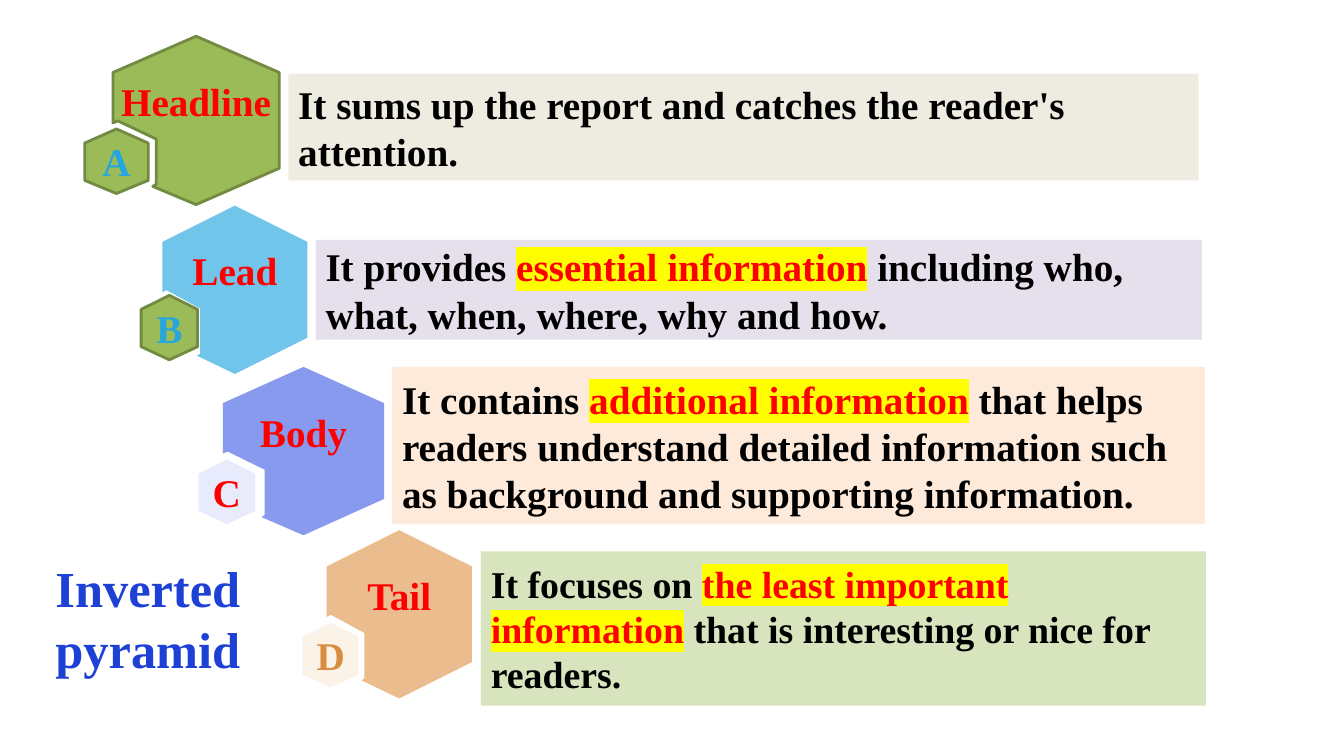
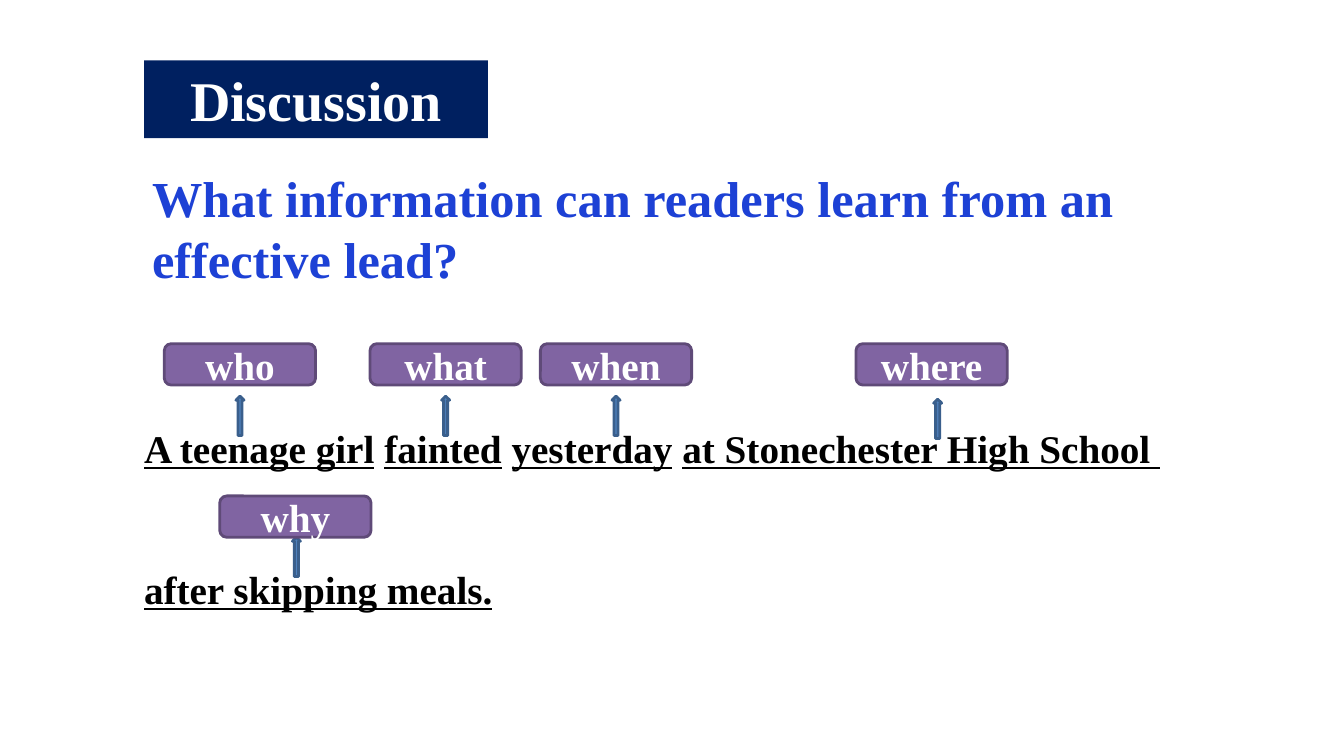
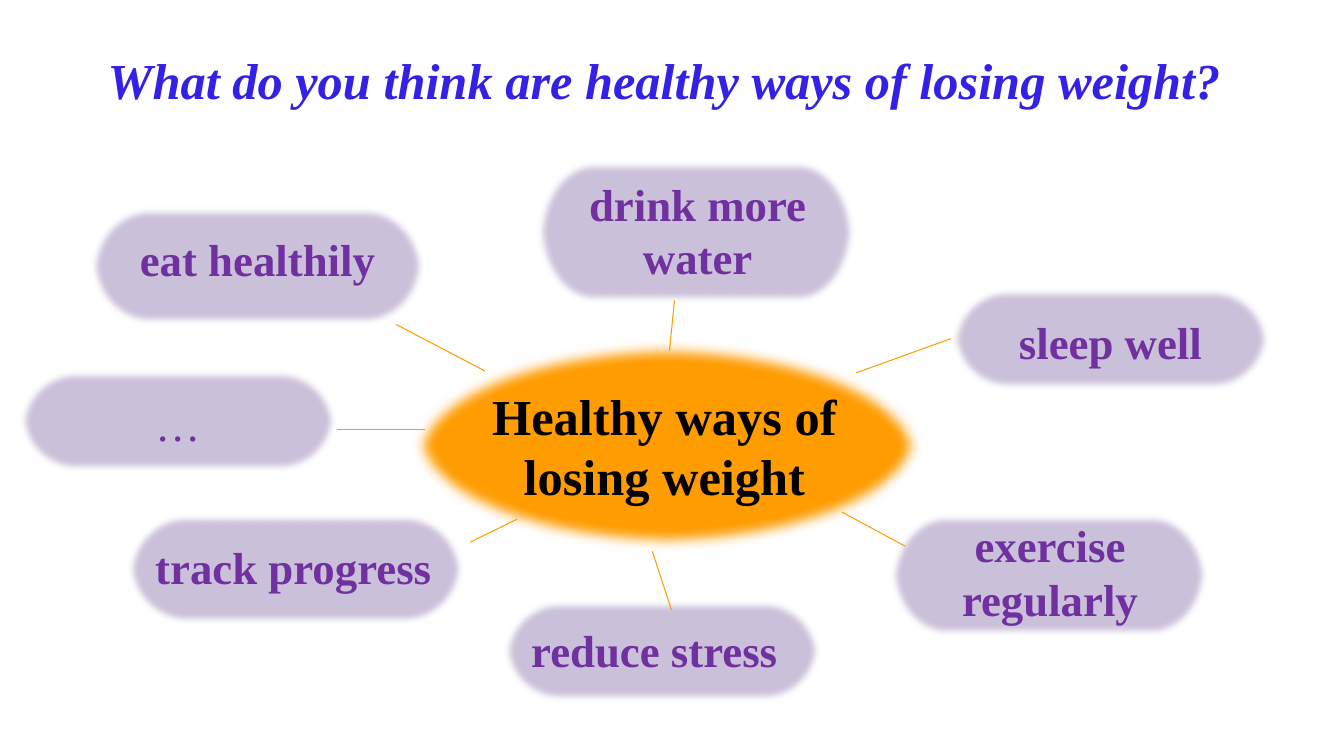
"""Three lesson slides on news reports: structure, the lead, and healthy weight loss."""
import lxml.etree
import pptx
import pptx.dml.color
import pptx.enum.shapes
import pptx.enum.text
import pptx.oxml.ns
import pptx.util
from dataclasses import dataclass

Inches = pptx.util.Inches
Pt = pptx.util.Pt
RGB = pptx.dml.color.RGBColor.from_string
SHAPE = pptx.enum.shapes.MSO_SHAPE
ALIGN = pptx.enum.text.PP_ALIGN
ANCHOR = pptx.enum.text.MSO_ANCHOR
qn = pptx.oxml.ns.qn


@dataclass(frozen=True)
class Theme:
    font: str = "Times New Roman"
    heading: int = 36
    banner: int = 40
    bubble: int = 32
    body: int = 28
    small: int = 27
    black: str = "000000"
    white: str = "FFFFFF"
    red: str = "FF0000"
    yellow: str = "FFFF00"
    blue: str = "1D41D5"
    indigo: str = "3321E5"
    navy: str = "002060"
    sky: str = "26A6DF"
    green: str = "9BBB59"
    green_edge: str = "738A42"
    ochre: str = "DB8D3F"
    purple: str = "8064A2"
    purple_edge: str = "5F4A78"
    steel: str = "4F81BD"
    steel_edge: str = "3A5F8C"
    orange: str = "FF9C00"
    lilac: str = "CCC1DA"
    violet: str = "7030A0"


T = Theme()


def write(shape, paragraphs, size, color, align=ALIGN.LEFT, anchor=ANCHOR.TOP, bold=True):
    """Fill a shape with paragraphs; a bar in the text starts a new run."""
    tf = shape.text_frame
    tf.word_wrap = True
    tf.auto_size = pptx.enum.text.MSO_AUTO_SIZE.NONE
    tf.vertical_anchor = anchor
    for i, text in enumerate(paragraphs):
        p = tf.add_paragraph() if i else tf.paragraphs[0]
        p.alignment = align
        p.font.name = T.font
        p.font.size = Pt(size)
        p.font.bold = bold
        p.font.color.rgb = RGB(color)
        for part in filter(None, text.split("|")):
            p.add_run().text = part
    return tf


def paint(shape, fill, edge=None, soft=0):
    """Set fill, outline and an optional soft edge in points."""
    shape.shadow.inherit = False
    shape.fill.solid()
    shape.fill.fore_color.rgb = RGB(fill)
    if edge:
        shape.line.color.rgb = RGB(edge)
        shape.line.width = Pt(2)
    else:
        shape.line.fill.background()
    if soft:
        effects = shape._element.spPr.find(qn("a:effectLst"))
        lxml.etree.SubElement(effects, qn("a:softEdge"), rad=str(Pt(soft)))
    return shape


prs = pptx.Presentation()
prs.slide_width = Inches(13.33)
prs.slide_height = Inches(7.5)

titles = [
    ("Inverted pyramid", (0.45, 5.48, 2.11, 1.31), T.heading, T.blue, ALIGN.LEFT),
    ("Discussion", (1.43, 0.6, 3.41, 0.77), T.banner, T.white, ALIGN.CENTER),
    ("What do you think are healthy ways of losing weight?",
     (0.84, 0.44, 11.5, 0.8), T.heading, T.indigo, ALIGN.CENTER),
]
for text, box, size, color, align in titles:
    s = prs.slides.add_slide(prs.slide_layouts[5])
    title = s.shapes.title
    title.left, title.top, title.width, title.height = map(Inches, box)
    write(title, [text], size, color, align)
pyramid, discussion, ways = prs.slides
paint(discussion.shapes.title, T.navy)
ways.shapes.title.text_frame.paragraphs[0].font.italic = True

# name, hexagon (left, top, width, fill, edge), badge (letter, left, top, width, fill, edge, color)
steps = [
    ("Headline", (1.12, 0.36, 1.65, T.green, T.green_edge),
     ("A", 0.84, 1.28, 0.63, T.green, T.green_edge, T.sky),
     (2.86, 0.73, 9.03, 1.06), "EEECE1", T.body,
     "It sums up the report and catches the reader's attention."),
    ("Lead", (1.61, 2.04, 1.44, "72C5EA", None),
     ("B", 1.4, 2.93, 0.56, T.green, T.green_edge, T.sky),
     (3.13, 2.38, 8.79, 0.99), "E6E0EC", T.body,
     "It provides |essential information| including who, what, when, where, why and how."),
    ("Body", (2.21, 3.64, 1.6, "879AED", None),
     ("C", 1.97, 4.56, 0.56, "E7EBFB", None, T.red),
     (3.89, 3.64, 8.06, 1.56), "FDEADA", T.body,
     "It contains |additional information| that helps readers understand detailed "
     "information such as background and supporting information."),
    ("Tail", (3.24, 5.26, 1.44, "EABC8E", None),
     ("D", 3, 6.18, 0.56, "FBF2E8", None, T.ochre),
     (4.77, 5.47, 7.19, 1.53), "D7E4BD", T.small,
     "It focuses on |the least important information| that is interesting or nice for readers."),
]
notched = [(0.5, 0), (1, 0.36), (1, 1.31), (0.5, 1.67), (0.24, 1.49), (0.26, 1.47),
           (0.26, 1.02), (0.03, 0.84), (0, 0.86), (0, 0.36)]
plain = [(0.5, 0), (1, 0.14), (1, 0.51), (0.5, 0.64), (0, 0.51), (0, 0.14)]
for name, hexagon, badge, box, panel, size, text in steps:
    for label, (x, y, w, fill, edge), outline, color, bottom in [
            (name, hexagon, notched, T.red, 0.39),
            (badge[0], badge[1:6], plain, badge[6], 0)]:
        points = [(Inches(x + w * px), Inches(y + py)) for px, py in outline]
        path = pyramid.shapes.build_freeform(*points[0])
        path.add_line_segments(points[1:], close=True)
        sp = paint(path.convert_to_shape(), fill, edge)
        tf = write(sp, [label], T.body, color, ALIGN.CENTER, ANCHOR.MIDDLE)
        tf.margin_left = tf.margin_right = tf.margin_top = 0
        tf.margin_bottom = Inches(bottom)
    sp = paint(pyramid.shapes.add_shape(SHAPE.RECTANGLE, *map(Inches, box)), panel)
    tf = write(sp, [text], size, T.black, anchor=ANCHOR.MIDDLE)
    for r in tf.paragraphs[0].runs[1::2]:
        r.font.color.rgb = RGB(T.red)
        mark = lxml.etree.SubElement(r._r.get_or_add_rPr(), qn("a:highlight"))
        lxml.etree.SubElement(mark, qn("a:srgbClr"), val=T.yellow)

question = discussion.shapes.add_textbox(*map(Inches, (1.41, 1.61, 10.28, 1.31)))
write(question, ["What information can readers learn from an effective lead?"], T.heading, T.blue)
lead = discussion.shapes.add_textbox(*map(Inches, (1.33, 4.16, 10.29, 1.98)))
tf = write(lead, ["A teenage girl| |fainted| |yesterday| |at Stonechester High School ",
                  "after skipping meals."], T.body, T.black)
tf.word_wrap = False
tf.paragraphs[1].space_before = Pt(67)
for p in tf.paragraphs:
    for r in p.runs[::2]:
        r.font.underline = True

tags = [("who", 1.63, 3.41, 2.34, 3.93), ("what", 3.67, 3.41, 4.38, 3.93),
        ("when", 5.36, 3.41, 6.07, 3.93), ("where", 8.49, 3.41, 9.26, 3.96),
        ("why", 2.18, 4.92, 2.9, 5.33)]
for word, x, y, arrow_x, arrow_y in tags:
    arrow = discussion.shapes.add_shape(
        SHAPE.UP_ARROW, *map(Inches, (arrow_x, arrow_y, 0.08, 0.39)))
    paint(arrow, T.steel, T.steel_edge)
    tag = discussion.shapes.add_shape(
        SHAPE.ROUNDED_RECTANGLE, *map(Inches, (x, y, 1.5, 0.41)))
    paint(tag, T.purple, T.purple_edge)
    write(tag, [word], T.body, T.white, ALIGN.CENTER, ANCHOR.MIDDLE)

hub = ways.shapes.add_shape(SHAPE.OVAL, *map(Inches, (4.06, 3.37, 5.11, 2.1)))
paint(hub, T.orange, soft=9)
sp = ways.shapes.add_textbox(*map(Inches, (4.69, 3.77, 3.8, 1.31)))
write(sp, ["Healthy ways of losing weight"], T.heading, T.black, ALIGN.CENTER)

bubbles = [
    ("eat healthily", (0.89, 2.05, 3.33, 1.18), (1.22, 2.25, 2.67, 0.64)),
    ("drink more water", (5.32, 1.59, 3.17, 1.42), (5.41, 1.7, 3.02, 1.18)),
    ("sleep well", (9.43, 2.85, 3.17, 1.02), (9.9, 3.07, 2.23, 0.64)),
    ("exercise regularly", (8.82, 5.09, 3.17, 1.23), (9.3, 5.09, 2.23, 1.18)),
    ("reduce stress", (4.98, 5.95, 3.17, 1.02), (5.08, 6.13, 2.82, 0.64)),
    ("track progress", (1.26, 5.09, 3.35, 1.11), (1.31, 5.31, 3.2, 0.64)),
    ("…", (0.18, 3.67, 3.17, 1.02), (0.65, 3.89, 2.23, 0.64)),
]
for text, outline, box in bubbles:
    bubble = ways.shapes.add_shape(SHAPE.FLOWCHART_TERMINATOR, *map(Inches, outline))
    paint(bubble, T.lilac, soft=5)
    sp = ways.shapes.add_textbox(*map(Inches, box))
    write(sp, [text], T.bubble, T.violet, ALIGN.CENTER, bold=text != "…")

spokes = [(4.81, 3.68, 3.93, 3.22), (6.64, 3.48, 6.69, 2.98), (8.49, 3.7, 9.43, 3.36),
          (8.98, 5.42, 8.35, 5.08), (6.66, 6.05, 6.47, 5.47), (5.13, 5.15, 4.66, 5.38),
          (4.22, 4.26, 3.34, 4.26)]
for ends in spokes:
    spoke = ways.shapes.add_connector(
        pptx.enum.shapes.MSO_CONNECTOR.STRAIGHT, *map(Inches, ends))
    spoke.line.color.rgb = RGB(T.orange)
    spoke.line.width = Pt(0.75)
    lxml.etree.SubElement(spoke._element.spPr, qn("a:effectLst"))

prs.save("out.pptx")
